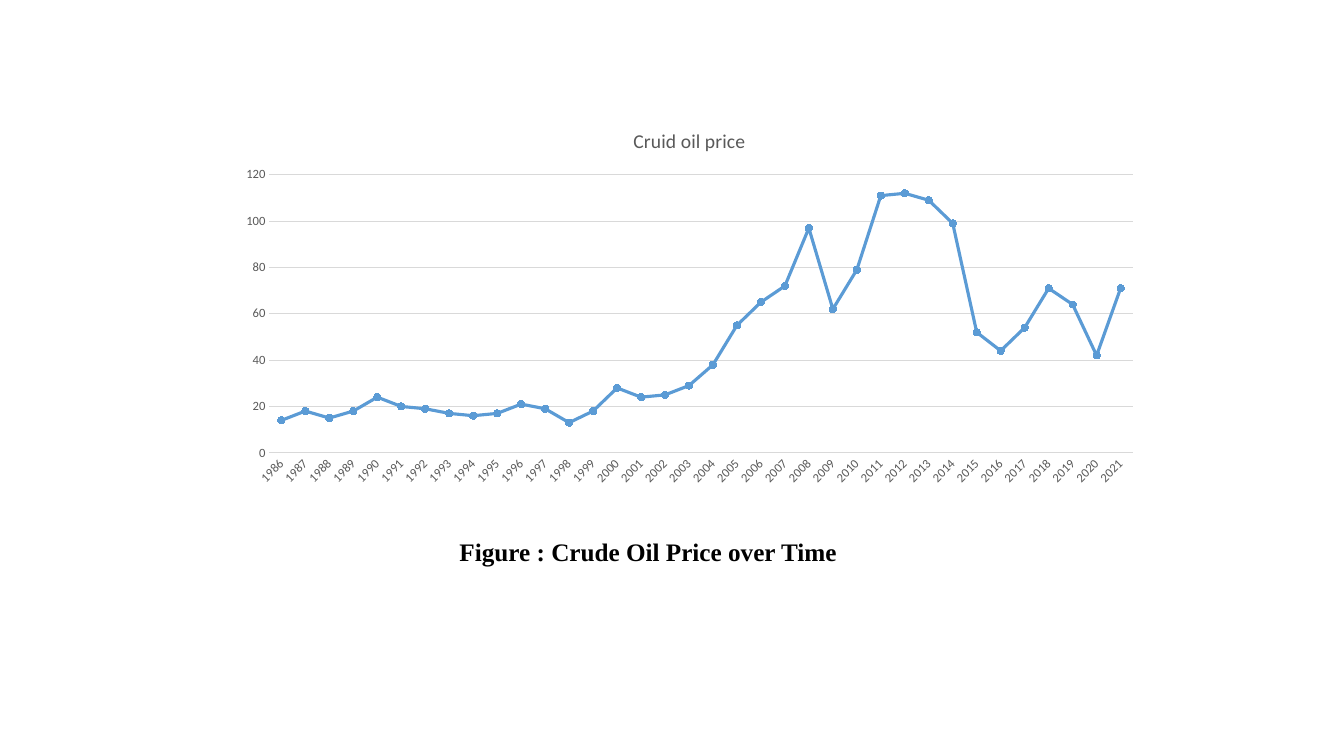
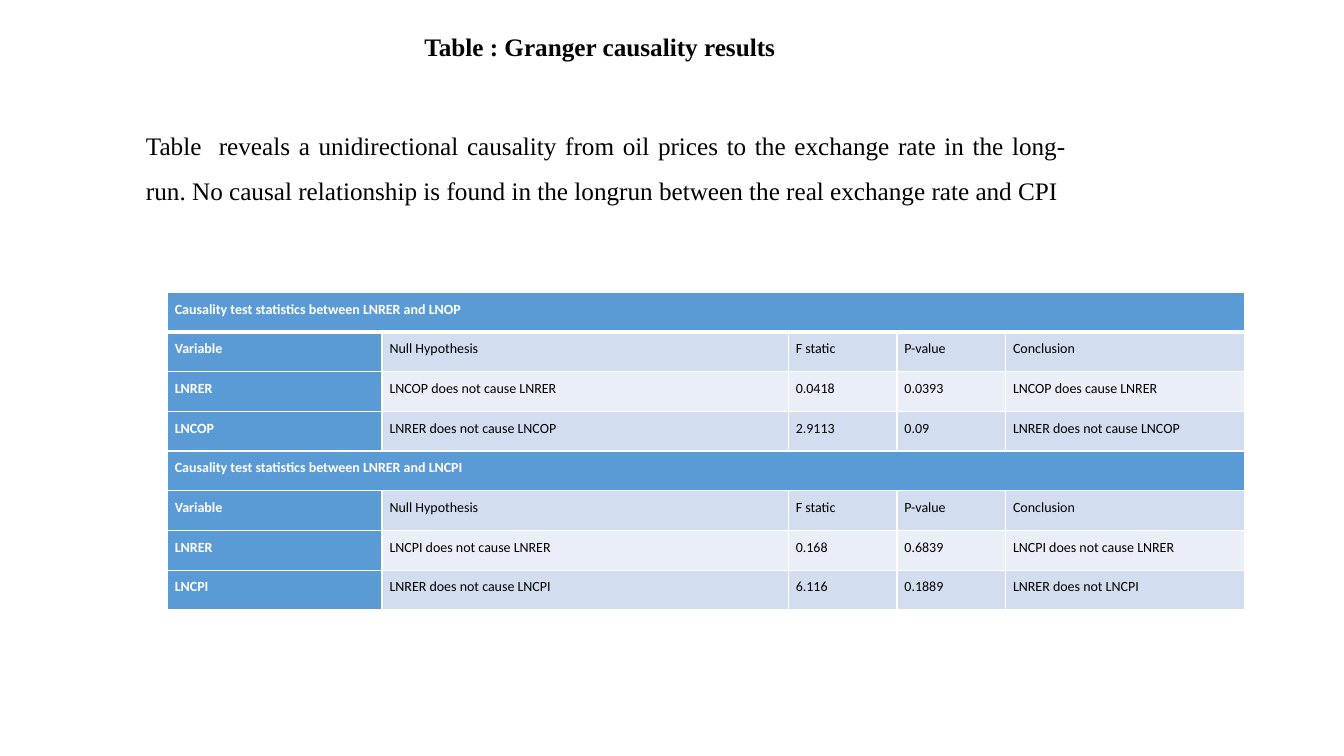
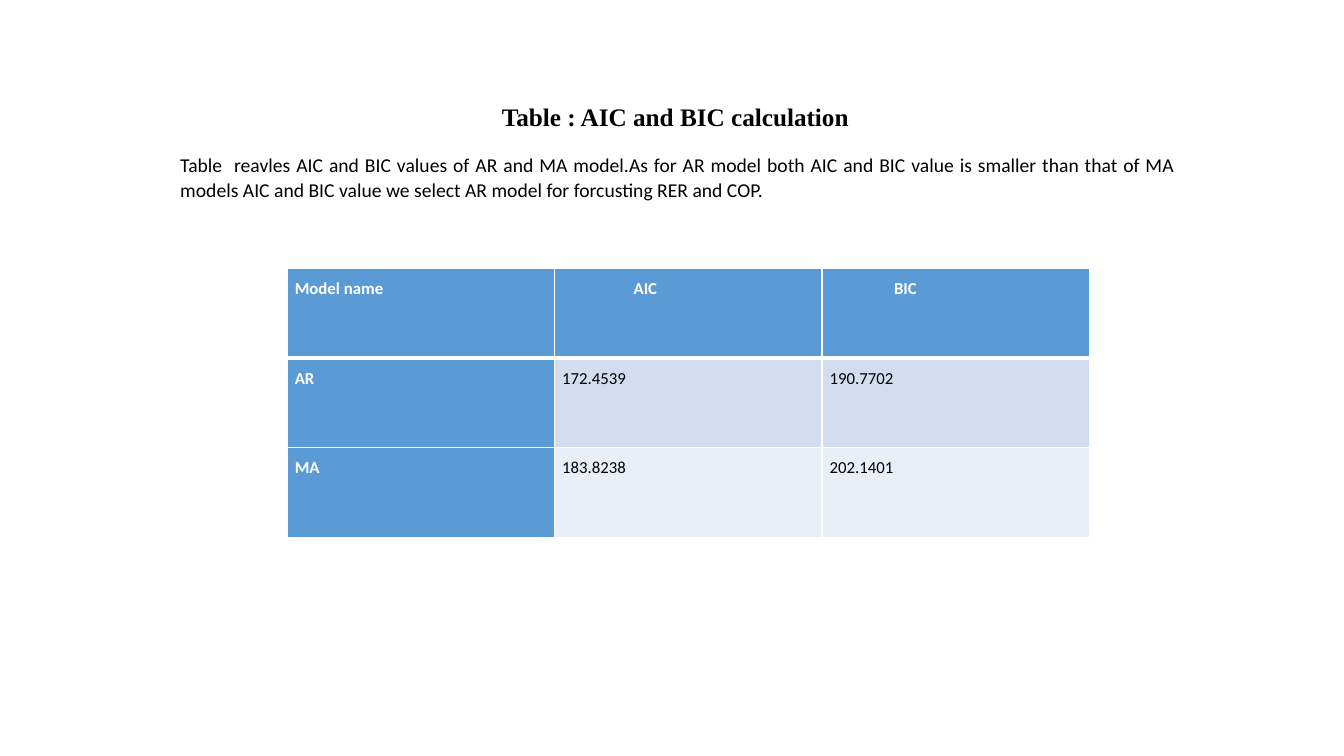
from pptx import Presentation
from pptx.chart.data import CategoryChartData
from pptx.dml.color import RGBColor
from pptx.enum.chart import XL_CHART_TYPE, XL_MARKER_STYLE, XL_TICK_MARK
from pptx.enum.text import MSO_AUTO_SIZE, PP_ALIGN
from pptx.oxml import parse_xml
from pptx.oxml.ns import nsdecls
from pptx.util import Pt

BLUE = RGBColor(0x5B, 0x9B, 0xD5)
DARK_BAND = RGBColor(0xD2, 0xDE, 0xEF)
LIGHT_BAND = RGBColor(0xEA, 0xEF, 0xF7)
WHITE = RGBColor(0xFF, 0xFF, 0xFF)
BLACK = RGBColor(0, 0, 0)
LABEL_GRAY = RGBColor(0x59, 0x59, 0x59)
LINE_GRAY = RGBColor(0xD9, 0xD9, 0xD9)
SANS = "Calibri"
SERIF = "Times New Roman"

FIRST_YEAR = 1986
OIL_PRICES = [14, 18, 15, 18, 24, 20, 19, 17, 16, 17, 21, 19, 13, 18, 28, 24, 25, 29,
              38, 55, 65, 72, 97, 62, 79, 111, 112, 109, 99, 52, 44, 54, 71, 64, 42, 71]

GRANGER_HEADINGS = ["Variable", "Null Hypothesis", "F static", "P-value", "Conclusion"]
GRANGER_ROWS = [
    ["Causality test statistics between LNRER and LNOP"],
    GRANGER_HEADINGS,
    ["LNRER", "LNCOP does not cause LNRER", "0.0418", "0.0393", "LNCOP does cause LNRER"],
    ["LNCOP", "LNRER does not cause LNCOP", "2.9113", "0.09", "LNRER does not cause LNCOP"],
    ["Causality test statistics between LNRER and LNCPI"],
    GRANGER_HEADINGS,
    ["LNRER", "LNCPI does not cause LNRER", "0.168", "0.6839", "LNCPI does not cause LNRER"],
    ["LNCPI", "LNRER does not cause LNCPI", "6.116", "0.1889", "LNRER does not LNCPI"],
]
MODEL_ROWS = [
    ["Model name", "AIC", "BIC"],
    ["AR", "172.4539", "190.7702"],
    ["MA", "183.8238", "202.1401"],
]


def set_font(font, size, color, name=SANS, bold=False):
    """Apply one complete font format."""
    font.size, font.name, font.bold = Pt(size), name, bold
    font.color.rgb = color


def write_text(text_frame, text, size=18, color=BLACK, name=SANS, bold=False,
               align=PP_ALIGN.LEFT, line_spacing=1.5, space_after=0):
    """Write one formatted paragraph into a text frame."""
    paragraph = text_frame.paragraphs[0]
    paragraph.alignment = align
    paragraph.line_spacing = line_spacing
    paragraph.space_after = Pt(space_after)
    run = paragraph.add_run()
    run.text = text
    set_font(run.font, size, color, name, bold)


def add_text(slide, box, text, wrap=True, **text_format):
    """Add a text box that fits its text; box is left, top, width, height."""
    text_frame = slide.shapes.add_textbox(*map(Pt, box)).text_frame
    text_frame.word_wrap = wrap
    text_frame.auto_size = MSO_AUTO_SIZE.SHAPE_TO_FIT_TEXT
    write_text(text_frame, text, **text_format)


def add_caption(slide, box, text):
    """Add the bold serif caption shared by all slides."""
    add_text(slide, box, text, wrap=False, name=SERIF, bold=True,
             align=PP_ALIGN.CENTER, space_after=10)


def add_body(slide, box, text, **text_format):
    """Add a justified explanatory paragraph."""
    add_text(slide, box, text, align=PP_ALIGN.JUSTIFY, space_after=8, **text_format)


def set_borders(cell, bottom_width):
    """Give a cell white borders, with its own width at the bottom."""
    properties = cell._tc.get_or_add_tcPr()
    for side, width in (("L", 1), ("R", 1), ("T", 1), ("B", bottom_width)):
        properties.append(parse_xml(
            f'<a:ln{side} {nsdecls("a")} w="{Pt(width)}"><a:solidFill>'
            f'<a:srgbClr val="{WHITE}"/></a:solidFill></a:ln{side}>'))


def add_banded_table(slide, box, column_widths, rows, size, heading_indents=None):
    """Add a banded table; a row with a single text spans every column."""
    row_count, column_count = len(rows), len(column_widths)
    table = slide.shapes.add_table(row_count, column_count, *map(Pt, box)).table
    for column, width in zip(table.columns, column_widths):
        column.width = Pt(width)
    for row_index, texts in enumerate(rows):
        table.rows[row_index].height = Pt(box[3] / row_count)
        is_heading = row_index == 0 or len(texts) == 1
        for column_index in range(column_count):
            cell = table.cell(row_index, column_index)
            is_blue = is_heading or column_index == 0
            set_borders(cell, 3 if row_index == 0 else 1)
            cell.fill.solid()
            band = DARK_BAND if row_index % 2 else LIGHT_BAND
            cell.fill.fore_color.rgb = BLUE if is_blue else band
            indent = heading_indents[column_index] if heading_indents and row_index == 0 else 0
            cell.margin_left, cell.margin_right = Pt(5.4 + indent), Pt(5.4)
            cell.margin_top = cell.margin_bottom = Pt(0)
            if column_index < len(texts):
                write_text(cell.text_frame, texts[column_index], size=size,
                           color=WHITE if is_blue else BLACK, bold=is_blue)
        if len(texts) == 1:
            table.cell(row_index, 0).merge(table.cell(row_index, column_count - 1))


def style_axis(axis):
    """Apply the label format and tick style shared by both axes."""
    axis.major_tick_mark = axis.minor_tick_mark = XL_TICK_MARK.NONE
    set_font(axis.tick_labels.font, 9, LABEL_GRAY)


def style_line(line, color, width):
    """Set the colour and width of a line."""
    line.color.rgb = color
    line.width = Pt(width)


def add_price_chart(slide, box, title):
    """Add the yearly oil price as a line with round markers."""
    data = CategoryChartData()
    data.categories = [str(FIRST_YEAR + offset) for offset in range(len(OIL_PRICES))]
    data.add_series(title, OIL_PRICES)
    chart = slide.shapes.add_chart(XL_CHART_TYPE.LINE_MARKERS, *map(Pt, box), data).chart
    set_font(chart.font, 10, BLACK)
    chart.has_legend = False
    chart.has_title = True
    chart.chart_title.include_in_layout = False
    title_frame = chart.chart_title.text_frame
    title_frame.text = title
    set_font(title_frame.paragraphs[0].runs[0].font, 14, LABEL_GRAY)

    years, prices = chart.category_axis, chart.value_axis
    style_axis(years)
    years._element.txPr.bodyPr.set("rot", "-2700000")
    style_line(years.format.line, LINE_GRAY, 0.75)
    style_axis(prices)
    prices.format.line.fill.background()
    prices.minimum_scale, prices.maximum_scale, prices.major_unit = 0, 120, 20
    style_line(prices.major_gridlines.format.line, LINE_GRAY, 0.75)

    plot = chart.plots[0]
    plot.vary_by_categories = False
    series = plot.series[0]
    series.smooth = False
    style_line(series.format.line, BLUE, 2.25)
    series.marker.style, series.marker.size = XL_MARKER_STYLE.CIRCLE, 5
    series.marker.format.fill.solid()
    series.marker.format.fill.fore_color.rgb = BLUE
    style_line(series.marker.format.line, BLUE, 0.75)


def build_price_slide(slide):
    """Build the oil price chart slide."""
    add_price_chart(slide, (162.7, 79.2, 659.5, 272.9), "Cruid oil price")
    add_caption(slide, (319.7, 368.6, 286.6, 36), "Figure : Crude Oil Price over Time")


def build_granger_slide(slide):
    """Build the Granger causality slide."""
    add_banded_table(slide, (119.5, 208.8, 769.7, 226.8),
                     [153.4, 290.2, 77.6, 77.6, 170.9], GRANGER_ROWS, size=10)
    add_caption(slide, (294.5, 7.9, 267.8, 36), "Table : Granger causality results")
    add_body(slide, (97.2, 78.5, 671.8, 69.1),
             "Table  reveals a unidirectional causality from oil prices to the exchange rate "
             "in the long-run. No causal relationship is found in the longrun between the "
             "real exchange rate and CPI", name=SERIF)


def build_model_slide(slide):
    """Build the AIC and BIC comparison slide."""
    add_banded_table(slide, (205.2, 191.5, 573, 192.3), [191] * 3, MODEL_ROWS,
                     size=12, heading_indents=[0, 51, 46])
    add_caption(slide, (349.9, 58.3, 265, 36), "Table : AIC and BIC calculation")
    add_body(slide, (121.7, 104.4, 725, 42.5),
             "Table  reavles AIC and BIC values of AR and MA model.As for AR model both AIC "
             "and BIC value is smaller than that of MA models AIC and BIC value we select AR "
             "model for forcusting RER and COP.", size=14, line_spacing=1.07)


def main():
    """Build and save the presentation."""
    presentation = Presentation()
    presentation.slide_width, presentation.slide_height = Pt(960), Pt(540)
    for build_slide in (build_price_slide, build_granger_slide, build_model_slide):
        build_slide(presentation.slides.add_slide(presentation.slide_layouts[6]))
    presentation.save("out.pptx")


main()
